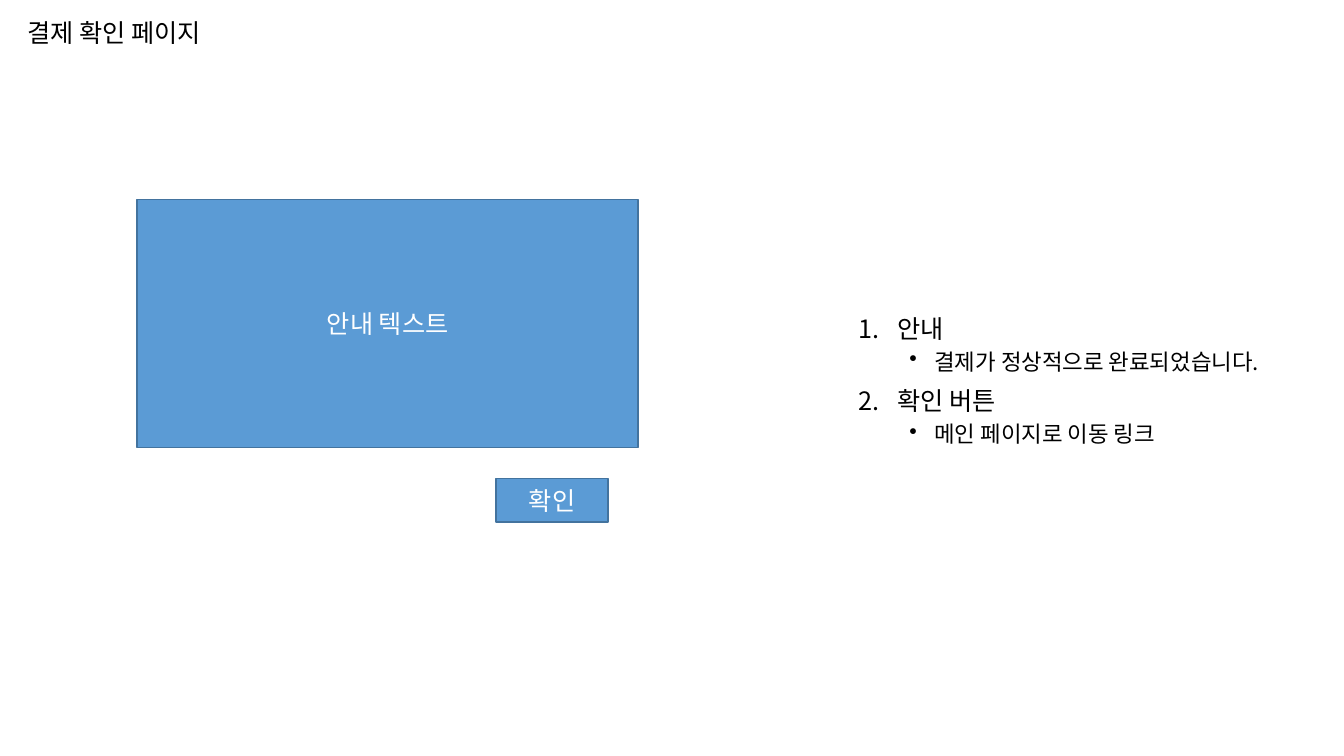
from dataclasses import dataclass

import lxml.etree
import pptx
import pptx.dml.color
import pptx.enum.shapes
import pptx.enum.text
import pptx.oxml.ns
import pptx.shapes.autoshape
import pptx.slide
import pptx.text.text
import pptx.util

Inches = pptx.util.Inches
Pt = pptx.util.Pt
Align = pptx.enum.text.PP_ALIGN


@dataclass(frozen=True)
class Theme:
    font: str = "Noto Sans CJK KR"
    text: str = "000000"
    box_text: str = "FFFFFF"
    box_fill: str = "5B9BD5"
    box_line: str = "43739E"
    main_size: int = 18
    detail_size: int = 16


@dataclass(frozen=True)
class Frame:
    left: float
    top: float
    width: float
    height: float

    def lengths(self) -> tuple[pptx.util.Length, ...]:
        return tuple(Inches(value) for value in (self.left, self.top, self.width, self.height))


@dataclass(frozen=True)
class Box:
    label: str
    frame: Frame


@dataclass(frozen=True)
class Note:
    heading: str
    detail: str


THEME = Theme()
TITLE_FRAME = Frame(0.17, 0.1, 4.47, 0.48)
NOTES_FRAME = Frame(8.42, 0.51, 4.37, 6.56)
BOXES = (
    Box("안내 텍스트", Frame(1.36, 1.98, 4.97, 2.46)),
    Box("확인", Frame(4.92, 4.75, 1.11, 0.43)),
)
NOTES = (
    Note("안내", "결제가 정상적으로 완료되었습니다."),
    Note("확인 버튼", "메인 페이지로 이동 링크"),
)


def rgb(value: str) -> pptx.dml.color.RGBColor:
    return pptx.dml.color.RGBColor.from_string(value)


def write(
    paragraph: pptx.text.text._Paragraph,
    text: str,
    *,
    size: int = THEME.main_size,
    color: str = THEME.text,
    align: Align = Align.LEFT,
    space_before: float = 0,
    line_spacing: float = 1.0,
) -> None:
    paragraph.alignment = align
    paragraph.space_before = Pt(space_before)
    paragraph.line_spacing = line_spacing
    run = paragraph.add_run()
    run.text = text
    run.font.size = Pt(size)
    run.font.name = THEME.font
    run.font.color.rgb = rgb(color)
    east_asian = lxml.etree.SubElement(run.font._element, pptx.oxml.ns.qn("a:ea"))
    east_asian.set("typeface", THEME.font)


def add_marker(
    paragraph: pptx.text.text._Paragraph, tag: str, indent: float, hanging: float, **attributes: str
) -> None:
    """Give the paragraph a hanging indent and a bullet or number."""
    properties = paragraph._p.get_or_add_pPr()
    properties.set("marL", str(Inches(indent)))
    properties.set("indent", str(-Inches(hanging)))
    marker = lxml.etree.SubElement(properties, pptx.oxml.ns.qn(tag))
    for name, value in attributes.items():
        marker.set(name, value)


def add_text_frame(slide: pptx.slide.Slide, frame: Frame) -> pptx.text.text.TextFrame:
    text_frame = slide.shapes.add_textbox(*frame.lengths()).text_frame
    text_frame.word_wrap = True
    text_frame.vertical_anchor = pptx.enum.text.MSO_ANCHOR.MIDDLE
    return text_frame


def add_notes(slide: pptx.slide.Slide) -> None:
    text_frame = add_text_frame(slide, NOTES_FRAME)
    for index, note in enumerate(NOTES):
        heading = text_frame.add_paragraph() if index else text_frame.paragraphs[0]
        write(heading, note.heading, space_before=10, line_spacing=0.9)
        add_marker(heading, "a:buAutoNum", 0.38, 0.38, type="arabicPeriod")
        detail = text_frame.add_paragraph()
        detail.level = 1
        write(detail, note.detail, size=THEME.detail_size, space_before=5, line_spacing=0.9)
        add_marker(detail, "a:buChar", 0.75, 0.25, char="•")


def add_box(slide: pptx.slide.Slide, box: Box) -> None:
    shape = slide.shapes.add_shape(
        pptx.enum.shapes.MSO_SHAPE.RECTANGLE, *box.frame.lengths()
    )
    shape.shadow.inherit = False
    shape.fill.solid()
    shape.fill.fore_color.rgb = rgb(THEME.box_fill)
    shape.line.color.rgb = rgb(THEME.box_line)
    shape.line.width = Pt(1)
    shape.text_frame.vertical_anchor = pptx.enum.text.MSO_ANCHOR.MIDDLE
    write(shape.text_frame.paragraphs[0], box.label, color=THEME.box_text, align=Align.CENTER)


def main() -> None:
    presentation = pptx.Presentation()
    presentation.slide_width = Inches(13.33)
    presentation.slide_height = Inches(7.5)
    slide = presentation.slides.add_slide(presentation.slide_layouts[6])
    title = add_text_frame(slide, TITLE_FRAME)
    write(title.paragraphs[0], "결제 확인 페이지", line_spacing=0.9)
    add_notes(slide)
    for box in BOXES:
        add_box(slide, box)
    presentation.save("out.pptx")


if __name__ == "__main__":
    main()
